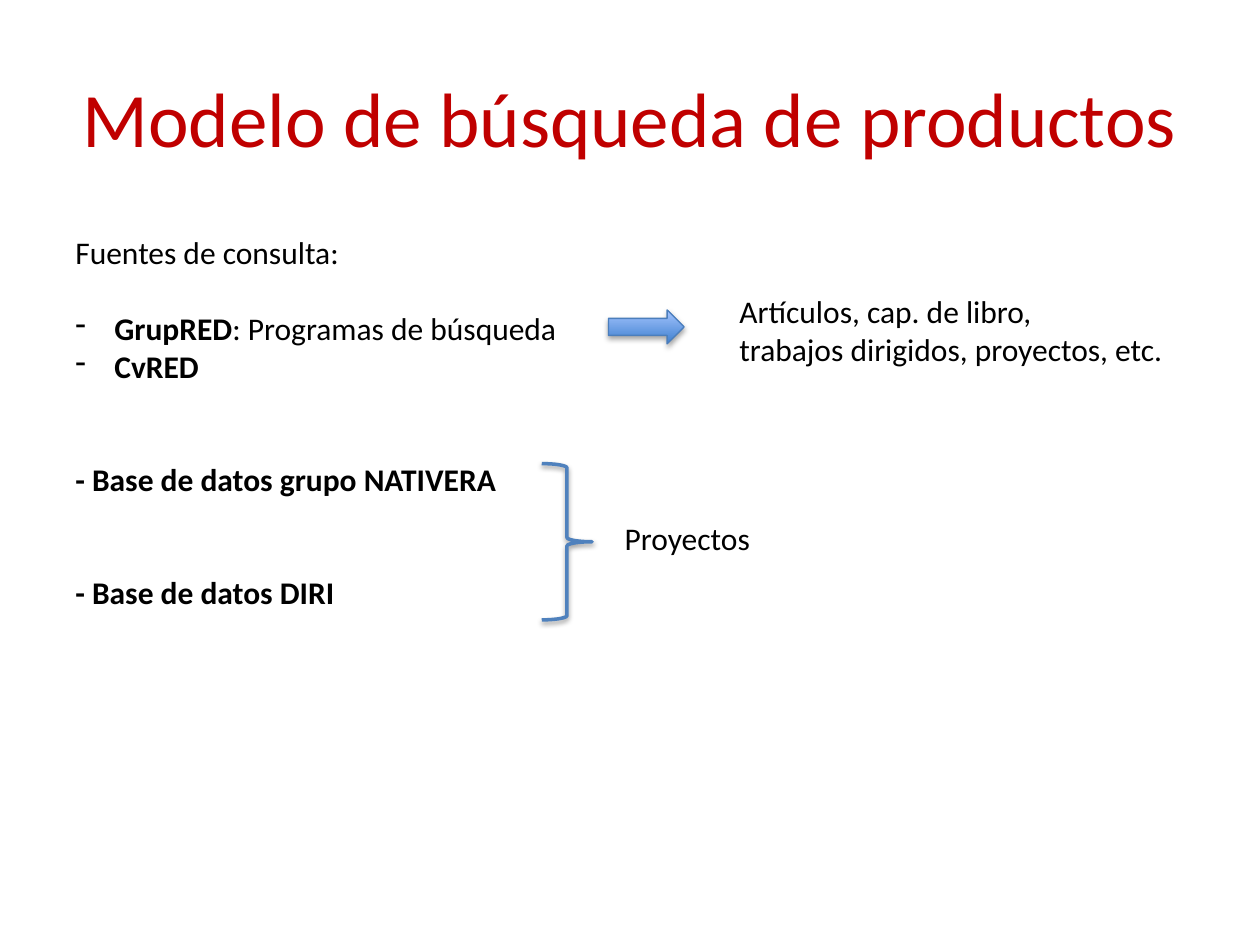
from dataclasses import dataclass

from lxml.etree import SubElement
from pptx import Presentation
from pptx.dml.color import RGBColor
from pptx.enum.shapes import MSO_SHAPE as Shape
from pptx.enum.text import MSO_ANCHOR, MSO_AUTO_SIZE, PP_ALIGN
from pptx.oxml.ns import qn
from pptx.util import Inches, Pt


@dataclass(frozen=True)
class Theme:
    """Font, type sizes in points and colours."""
    font: str = "Calibri"
    title_size: int = 44
    body_size: int = 18
    title: str = "C00000"
    text: str = "000000"
    brace: str = "4F81BD"
    arrow_line: str = "4B7EBC"
    arrow_fill: tuple = ("3F80CE", "A4C4FF")


THEME = Theme()
TITLE = "Modelo de búsqueda de productos"
TITLE_BOX = (0.5, 0.3, 9, 1.25)

# Each paragraph: runs of (text, bold), then its format.
SOURCES = [
    ([("Fuentes de consulta:", False)], {}),
    ([("GrupRED", True), (": Programas de búsqueda", False)],
     {"bullet": "-", "before": 22}),
    ([("CvRED", True)], {"bullet": "-"}),
    ([("- Base de datos grupo NATIVERA", True)], {"before": 43}),
    ([("- Base de datos DIRI", True)], {"before": 43}),
]
PRODUCTS = [
    ([("Artículos, cap. de libro,", False)], {}),
    ([("trabajos dirigidos, proyectos, etc.", False)], {}),
]
PROJECTS = [([("Proyectos", False)], {})]
TEXT_BOXES = [
    (SOURCES, (0.5, 1.8, 4.03, 3.43)),
    (PRODUCTS, (5.77, 2.27, 3.59, 0.71)),
    (PROJECTS, (4.86, 4.07, 1.2, 0.4)),
]
BRACE_BOX = (4.3, 3.68, 0.4, 1.24)
ARROW_BOX = (4.83, 2.46, 0.6, 0.27)


def rgb(code):
    """Turn a hex code into a colour."""
    return RGBColor.from_string(code)


def inches(box):
    """Turn left, top, width and height into lengths."""
    return [Inches(v) for v in box]


def add_text(p, runs, *, size=THEME.body_size, color=THEME.text,
             align=PP_ALIGN.LEFT, before=0, bullet=None):
    """Fill a paragraph with runs and format it."""
    p.alignment = align
    p.space_before = Pt(before)
    if bullet:
        pPr = p._p.get_or_add_pPr()
        indent = Inches(0.31)
        pPr.set("marL", str(indent))
        pPr.set("indent", str(-indent))
        SubElement(pPr, qn("a:buFontTx"))
        SubElement(pPr, qn("a:buChar"), char=bullet)
    for text, bold in runs:
        r = p.add_run()
        r.text = text
        r.font.name = THEME.font
        r.font.size = Pt(size)
        r.font.bold = bold
        r.font.color.rgb = rgb(color)


def add_text_box(s, paragraphs, box):
    """Add an unwrapped text box that fits its paragraphs."""
    tf = s.shapes.add_textbox(*inches(box)).text_frame
    tf.word_wrap = False
    tf.auto_size = MSO_AUTO_SIZE.SHAPE_TO_FIT_TEXT
    for i, (runs, fmt) in enumerate(paragraphs):
        p = tf.add_paragraph() if i else tf.paragraphs[0]
        add_text(p, runs, **fmt)


def add_shape(s, kind, box, line, width, distance, opacity):
    """Add an outlined preset shape with a soft shadow below it."""
    sp = s.shapes.add_shape(kind, *inches(box))
    sp.line.color.rgb = rgb(line)
    sp.line.width = Pt(width)
    sp.shadow.inherit = False
    effects = sp._element.spPr.find(qn("a:effectLst"))
    shadow = SubElement(effects, qn("a:outerShdw"), blurRad=str(Pt(3.1)),
                        dist=str(Pt(distance)), dir="5400000", rotWithShape="0")
    black = SubElement(shadow, qn("a:srgbClr"), val="000000")
    SubElement(black, qn("a:alpha"), val=str(opacity * 1000))
    return sp


def build():
    """Build and save the slide."""
    prs = Presentation()
    prs.slide_width, prs.slide_height = Inches(10), Inches(7.5)
    s = prs.slides.add_slide(prs.slide_layouts[5])

    title = s.shapes.title
    title.left, title.top, title.width, title.height = inches(TITLE_BOX)
    tf = title.text_frame
    tf.vertical_anchor = MSO_ANCHOR.MIDDLE
    add_text(tf.paragraphs[0], [(TITLE, False)], size=THEME.title_size,
             color=THEME.title, align=PP_ALIGN.CENTER)

    for paragraphs, box in TEXT_BOXES:
        add_text_box(s, paragraphs, box)

    brace = add_shape(s, Shape.RIGHT_BRACE, BRACE_BOX, THEME.brace, 2, 1.6, 38)
    brace.fill.background()

    arrow = add_shape(s, Shape.RIGHT_ARROW, ARROW_BOX, THEME.arrow_line,
                      0.75, 1.8, 35)
    arrow.fill.gradient()
    arrow.fill.gradient_angle = 90
    for stop, color in zip(arrow.fill.gradient_stops, THEME.arrow_fill):
        stop.color.rgb = rgb(color)

    prs.save("out.pptx")


build()
